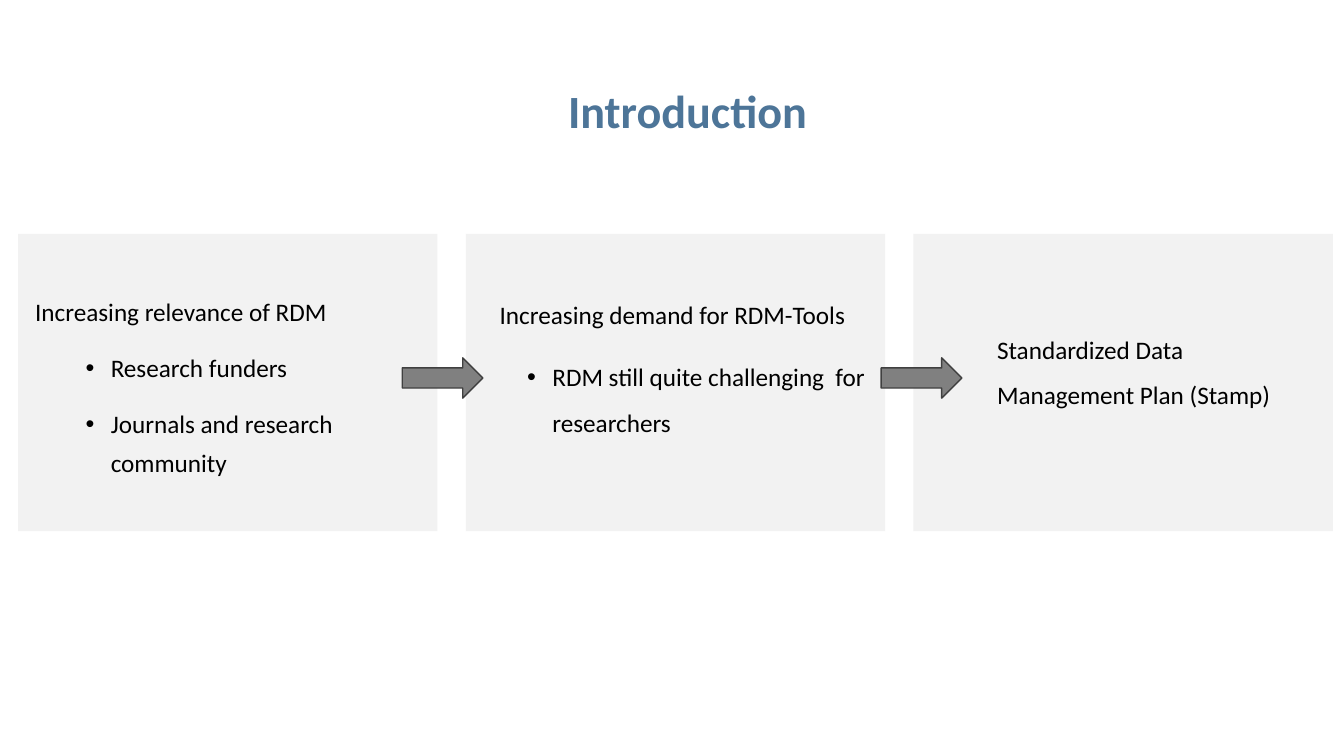
from lxml import etree
from pptx import Presentation, util as u
from pptx.dml.color import RGBColor
from pptx.enum import shapes, text
from pptx.oxml import ns

WIDTH, HEIGHT = 13.33, 7.5
COLUMN_LEFT, COLUMN_PITCH = 0.18, 4.44
PANEL_TOP, PANEL_WIDTH, PANEL_HEIGHT = 2.32, 4.16, 2.95
LEFT, CENTER = text.PP_ALIGN.LEFT, text.PP_ALIGN.CENTER
TOP, MIDDLE = text.MSO_ANCHOR.TOP, text.MSO_ANCHOR.MIDDLE

presentation = Presentation()
presentation.slide_width = u.Inches(WIDTH)
presentation.slide_height = u.Inches(HEIGHT)
slide = presentation.slides.add_slide(presentation.slide_layouts[6])


def add_block(kind, box, fill, line=None):
    """Add a preset shape in flat colours, outlined only if line is given."""
    shape = slide.shapes.add_shape(kind, *map(u.Inches, box))
    shape.shadow.inherit = False
    shape.fill.solid()
    shape.fill.fore_color.rgb = RGBColor.from_string(fill)
    if line:
        shape.line.color.rgb = RGBColor.from_string(line)
        shape.line.width = u.Pt(1)
    else:
        shape.line.fill.background()


def add_text(box, lines, anchor, align, spacing, size=18, color="000000", bold=False):
    """Add a text box whose first line is a heading and the others bullets."""
    frame = slide.shapes.add_textbox(*map(u.Inches, box)).text_frame
    frame.word_wrap = True
    frame.vertical_anchor = anchor
    frame.text = "\n".join(lines)
    for index, paragraph in enumerate(frame.paragraphs):
        paragraph.alignment = LEFT if index else align
        paragraph.line_spacing = spacing
        if len(lines) > 1:
            paragraph.space_after = u.Pt(6)
        if index:
            paragraph.space_before = u.Pt(6)
            paragraph.level = 1
            properties = paragraph._p.get_or_add_pPr()
            properties.set("marL", str(u.Inches(0.75)))
            properties.set("indent", str(u.Inches(-0.25)))
            font = etree.SubElement(properties, ns.qn("a:buFont"))
            font.set("typeface", "Arial")
            bullet = etree.SubElement(properties, ns.qn("a:buChar"))
            bullet.set("char", "•")
        for run in paragraph.runs:
            run.font.name = "Calibri"
            run.font.size = u.Pt(size)
            run.font.bold = bold
            run.font.color.rgb = RGBColor.from_string(color)


add_text((1.07, 0.4, 11.5, 1.45), ["Introduction"], MIDDLE, CENTER, 0.9, 33, "4D7598", True)

columns = [
    ((0.25, 2.8, 4.02, 2.09), TOP, LEFT, 1.3,
     ["Increasing relevance of RDM", "Research funders", "Journals and research community"]),
    ((4.63, 2.77, 4.08, 1.85), TOP, CENTER, 1.5,
     ["Increasing demand for RDM-Tools", "RDM still quite challenging  for researchers"]),
    ((9.79, 3.05, 3.18, 1.13), MIDDLE, LEFT, 1.5,
     ["Standardized Data Management Plan (Stamp)"]),
]
for index, (box, anchor, align, spacing, lines) in enumerate(columns):
    panel_left = COLUMN_LEFT + index * COLUMN_PITCH
    add_block(shapes.MSO_SHAPE.RECTANGLE,
              (panel_left, PANEL_TOP, PANEL_WIDTH, PANEL_HEIGHT), "F2F2F2")
    add_text(box, lines, anchor, align, spacing)

for arrow_left in (3.99, 8.74):
    add_block(shapes.MSO_SHAPE.RIGHT_ARROW, (arrow_left, 3.55, 0.8, 0.4), "808080", "404040")

presentation.save("out.pptx")
